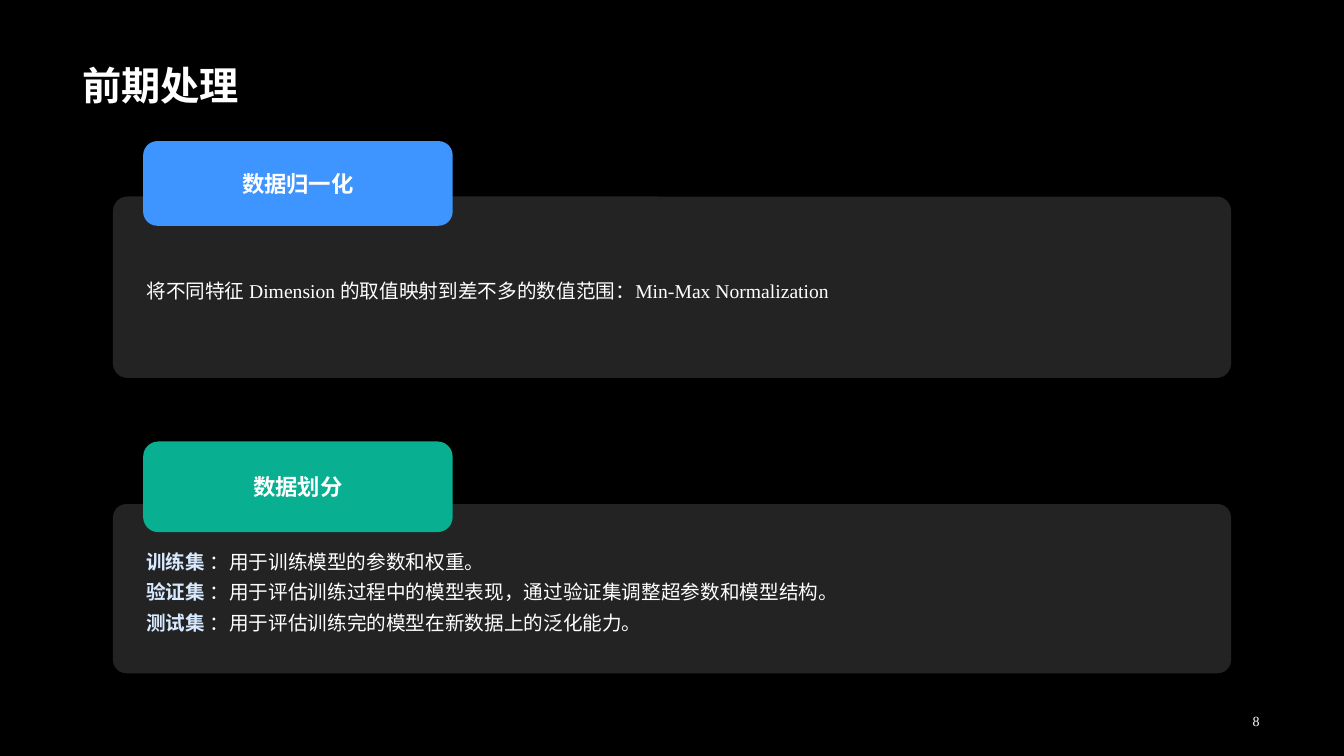
from lxml.etree import SubElement
from pptx import Presentation
from pptx.dml.color import RGBColor
from pptx.enum.shapes import MSO_SHAPE as Shape
from pptx.enum.text import MSO_ANCHOR as Anchor, PP_ALIGN as Align
from pptx.oxml.ns import qn
from pptx.util import Inches, Pt

# Content
TITLE = "前期处理"
PAGE = "8"
# Each card: label, label colour, tab top, tab height, panel top, panel height,
# then lines of (key term, text)
CARDS = [
    ("数据归一化", "blue", 1.4, 0.84, 1.95, 1.8, [
        ("", "将不同特征 Dimension 的取值映射到差不多的数值范围：Min-Max Normalization"),
    ]),
    ("数据划分", "green", 4.38, 0.9, 5, 1.68, [
        ("训练集", " ：用于训练模型的参数和权重。"),
        ("验证集 ", "：用于评估训练过程中的模型表现，通过验证集调整超参数和模型结构。"),
        ("测试集 ", "：用于评估训练完的模型在新数据上的泛化能力。"),
    ]),
]

# Style
FONT = "Times New Roman"
HEX = {"back": "000000", "panel": "F0F0F0", "blue": "3E95FF",
       "green": "08AF91", "text": "FFFFFF", "key": "D8EAFF"}
WIDE, HIGH = 13.33, 7.5
EDGE = 1.12
PANEL_W = WIDE - 2 * EDGE
TAB_X, TAB_W = EDGE + 0.3, 3.07


def color(name):
    return RGBColor.from_string(HEX[name])


def style(font, size, bold=False):
    font.name, font.size, font.bold = FONT, Pt(size), bold
    font.color.rgb = color("text")


def add_card(slide, box, fill):
    card = slide.shapes.add_shape(Shape.ROUNDED_RECTANGLE, *map(Inches, box))
    card.shadow.inherit = False
    card.fill.solid()
    card.fill.fore_color.rgb = color(fill)
    card.line.fill.background()
    card.text_frame.vertical_anchor = Anchor.MIDDLE
    return card


def add_panel(slide, top, height, lines):
    panel = add_card(slide, (EDGE, top, PANEL_W, height), "panel")
    panel.adjustments[0] = 0.08
    tint = panel.fill._xPr.find(".//" + qn("a:srgbClr"))
    SubElement(tint, qn("a:alpha"), val="15000")
    frame = panel.text_frame
    frame.word_wrap = True
    frame.margin_left = Inches(0.29)
    for i, (key, text) in enumerate(lines):
        para = frame.add_paragraph() if i else frame.paragraphs[0]
        para.alignment = Align.LEFT
        para.line_spacing = 1.3
        style(para.font, 14)
        if key:
            run = para.add_run()
            run.text = key
            style(run.font, 14, True)
            run.font.color.rgb = color("key")
        run = para.add_run()
        run.text = text
        style(run.font, 14)


def add_tab(slide, top, height, label, fill):
    tab = add_card(slide, (TAB_X, top, TAB_W, height), fill)
    tab.text_frame.word_wrap = False
    para = tab.text_frame.paragraphs[0]
    para.text = label
    para.alignment = Align.CENTER
    style(para.font, 16, True)


def add_text(slide, box, text, size, anchor, align, bold=False):
    frame = slide.shapes.add_textbox(*map(Inches, box)).text_frame
    frame.word_wrap = True
    frame.vertical_anchor = anchor
    para = frame.paragraphs[0]
    para.text = text
    para.alignment = align
    style(para.font, size, bold)


def main():
    deck = Presentation()
    deck.slide_width, deck.slide_height = Inches(WIDE), Inches(HIGH)
    slide = deck.slides.add_slide(deck.slide_layouts[6])
    slide.background.fill.solid()
    slide.background.fill.fore_color.rgb = color("back")

    # Cards: a panel with its tab on top
    for label, fill, tab_y, tab_h, top, height, lines in CARDS:
        add_panel(slide, top, height, lines)
        add_tab(slide, tab_y, tab_h, label, fill)

    # Page number and title
    add_text(slide, (9.68, 7.04, 2.91, 0.23), PAGE, 10, Anchor.MIDDLE, Align.RIGHT)
    add_text(slide, (0.72, 0, 11.88, 1.12), TITLE, 28, Anchor.BOTTOM, Align.LEFT, True)
    deck.save("out.pptx")


if __name__ == "__main__":
    main()
